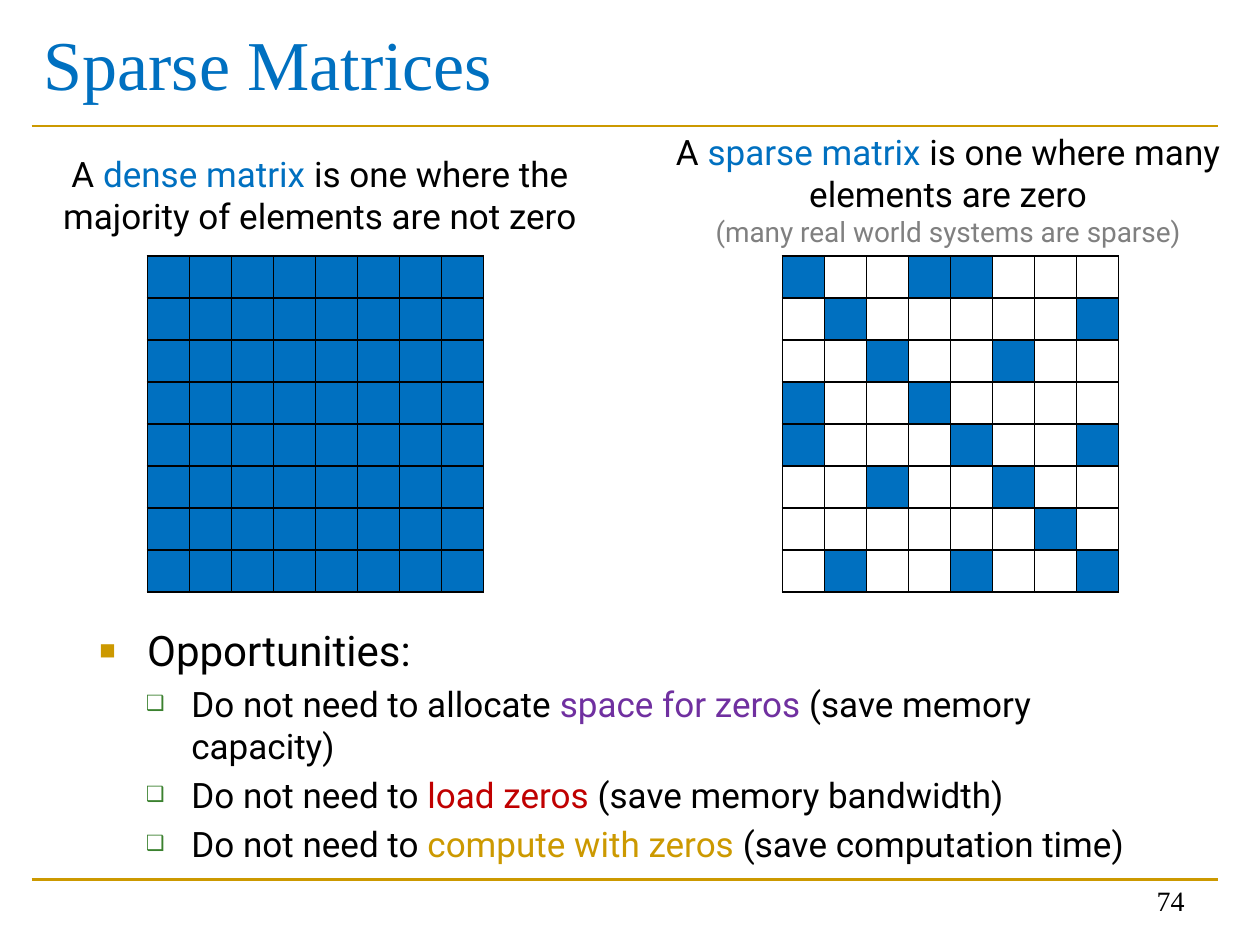
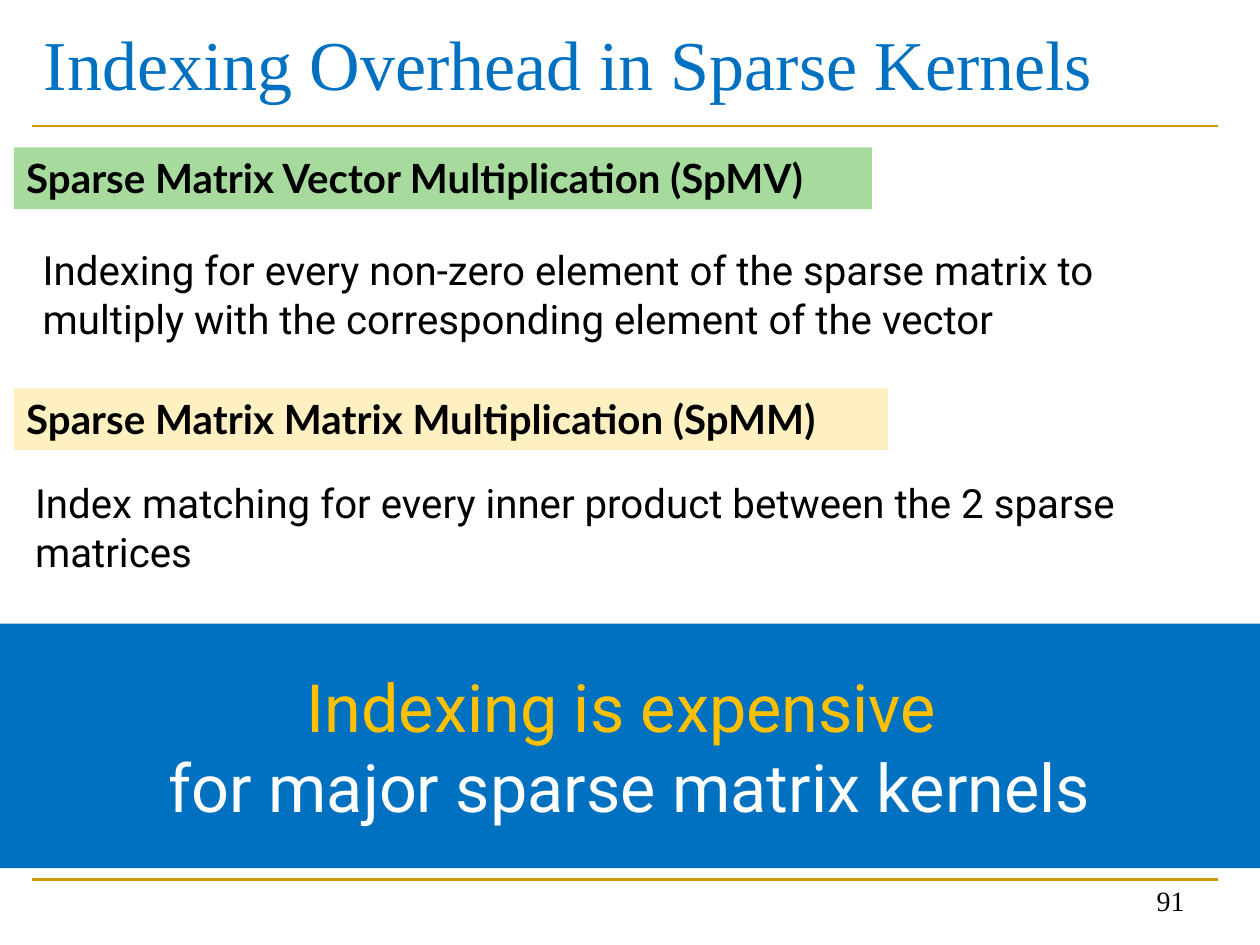
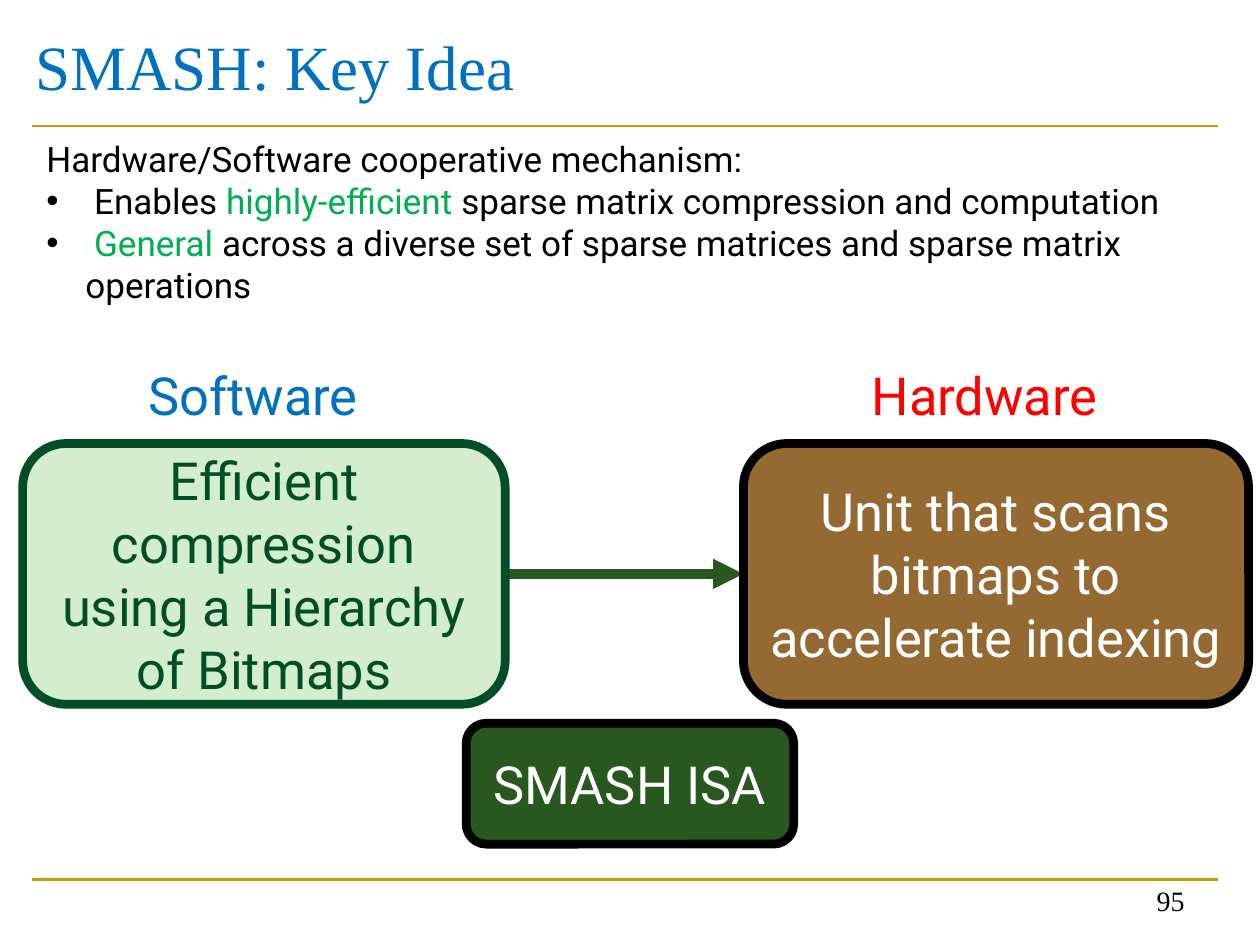
"""Build three slides on sparse matrices and the SMASH idea."""
from pptx import Presentation
from pptx import util as u
from pptx.dml.color import RGBColor
from pptx.enum import shapes, text
from pptx.oxml.ns import qn
from lxml import etree

WIDE, HIGH = u.Inches(10), u.Inches(7.5)
COLS = 100
UNIT = WIDE / COLS

BLACK = RGBColor(0x00, 0x00, 0x00)
WHITE = RGBColor(0xFF, 0xFF, 0xFF)
BLUE = RGBColor(0x00, 0x70, 0xC0)
GOLD = RGBColor(0xCC, 0x99, 0x00)
AMBER = RGBColor(0xFF, 0xC0, 0x00)
GRAY = RGBColor(0x80, 0x80, 0x80)
PURPLE = RGBColor(0x70, 0x30, 0xA0)
CRIMSON = RGBColor(0xC0, 0x00, 0x00)
RED = RGBColor(0xFF, 0x00, 0x00)
GREEN = RGBColor(0x00, 0xB0, 0x50)
LEAF = RGBColor(0x3B, 0x81, 0x2F)
FOREST = RGBColor(0x28, 0x57, 0x20)
PINE = RGBColor(0x00, 0x4D, 0x26)
MINT = RGBColor(0xD3, 0xED, 0xCE)
SAGE = RGBColor(0xA6, 0xDB, 0x9D)
CREAM = RGBColor(0xFF, 0xF0, 0xC2)
BROWN = RGBColor(0x94, 0x6A, 0x32)

SERIF, SANS, HEAVY = "Times New Roman", "Roboto", "Lato"
LEFT, MID, RIGHT = text.PP_ALIGN.LEFT, text.PP_ALIGN.CENTER, text.PP_ALIGN.RIGHT
TOP, CENTER, BASE = (text.MSO_ANCHOR.TOP, text.MSO_ANCHOR.MIDDLE,
                     text.MSO_ANCHOR.BOTTOM)
RECT, ROUND = (shapes.MSO_SHAPE.RECTANGLE, shapes.MSO_SHAPE.ROUNDED_RECTANGLE)

DENSE = ["########"] * 8
SPARSE = ["#..##...", ".#.....#", "..#..#..", "#..#....",
          "#...#..#", "..#..#..", "......#.", ".#..#..#"]


def grid(*spots):
    """Turn grid columns and rows into slide lengths."""
    return [round(spot * UNIT) for spot in spots]


def node(home, tag, **attrs):
    """Add a drawing element with attributes."""
    return etree.SubElement(home, qn(tag), attrs)


def bullet(para, mark, indent, color=None, share=100):
    """Give a paragraph a hanging bullet."""
    props = para._p.get_or_add_pPr()
    gap = grid(indent[1])[0]
    props.set("marL", str(grid(indent[0])[0]))
    props.set("indent", str(-gap))
    if color is not None:
        node(node(props, "a:buClr"), "a:srgbClr", val=str(color))
    node(props, "a:buSzPct", val=str(share * 1000))
    node(props, "a:buFont", typeface="Arial")
    node(props, "a:buChar", char=mark)


def style(para, size, color=BLACK, face=SANS, bold=False):
    """Set the font of a whole paragraph."""
    font = para.font
    font.size, font.name, font.bold = u.Pt(size), face, bold
    font.color.rgb = color


def write(frame, lines, size, color=BLACK, face=SANS, align=LEFT,
          anchor=TOP, bold=False):
    """Fill a frame with lines, each a list of texts or (text, color) pairs."""
    frame.word_wrap = True
    frame.vertical_anchor = anchor
    for i, line in enumerate(lines):
        para = frame.add_paragraph() if i else frame.paragraphs[0]
        para.alignment = align
        style(para, size, color, face, bold)
        for part in line:
            words, tint = (part, None) if isinstance(part, str) else part
            run = para.add_run()
            run.text = words
            if tint is not None:
                run.font.color.rgb = tint
    return frame.paragraphs


def label(slide, spot, lines, size, **look):
    """Add a text box."""
    box = slide.shapes.add_textbox(*grid(*spot))
    return write(box.text_frame, lines, size, **look)


def block(slide, kind, spot, fill, lines, size, edge=None, **look):
    """Add a filled shape with text."""
    shape = slide.shapes.add_shape(kind, *grid(*spot))
    shape.shadow.inherit = False
    shape.fill.solid()
    shape.fill.fore_color.rgb = fill
    if edge is None:
        shape.line.fill.background()
    else:
        shape.line.color.rgb, shape.line.width = edge, u.Pt(5)
    write(shape.text_frame, lines, size, **look)
    return shape


def rule(slide, ends, color, width):
    """Add a straight line."""
    line = slide.shapes.add_connector(shapes.MSO_CONNECTOR.STRAIGHT,
                                      *grid(*ends))
    line.line.color.rgb, line.line.width = color, u.Pt(width)
    node(line._element.spPr, "a:effectLst")
    return line


def arrow(slide, start, end):
    """Join two boxes with an arrow placed behind them."""
    line = rule(slide, (0, 0, 1, 1), FOREST, 5.75)
    line.begin_connect(start, 3)
    line.end_connect(end, 1)
    node(line.line._get_or_add_ln(), "a:tailEnd", type="triangle")
    slide.shapes._spTree.insert(2, line._element)


def matrix(slide, left, top, side, rows):
    """Add a square table whose marked cells are blue."""
    count = len(rows)
    table = slide.shapes.add_table(count, count,
                                   *grid(left, top, side, side)).table
    table.first_row = table.horz_banding = False
    for i, row in enumerate(rows):
        table.rows[i].height = table.columns[i].width = grid(side / count)[0]
        for j, mark in enumerate(row):
            paint(table.cell(i, j), mark == "#")


def paint(cell, full):
    """Border a cell and fill it when it holds a value."""
    cell.margin_top = cell.margin_bottom = 0
    style(cell.text_frame.paragraphs[0], 10)
    props = cell._tc.get_or_add_tcPr()
    for edge in ("a:lnL", "a:lnR", "a:lnT", "a:lnB"):
        line = node(props, edge, w=str(u.Pt(1)))
        node(node(line, "a:solidFill"), "a:srgbClr", val=str(BLACK))
    if full:
        cell.fill.solid()
        cell.fill.fore_color.rgb = BLUE
    else:
        cell.fill.background()


def page(deck, title, number, size=40, spot=(2.5, 0, 94.2, 9.9)):
    """Start a slide with its title, rules and number."""
    slide = deck.slides.add_slide(deck.slide_layouts[6])
    for row in (69.8, 10):
        rule(slide, (2.5, row, 96.7, row), GOLD, 1.5)
    label(slide, spot, [[title]], size, color=BLUE, face=SERIF, anchor=CENTER)
    label(slide, (71.7, 68.3, 23.3, 5), [[number]], 16, face=SERIF,
          align=RIGHT, anchor=BASE)
    return slide


def matrices(deck):
    """Compare dense and sparse matrices."""
    slide = page(deck, "Sparse Matrices", "74")
    paras = label(slide, (6.9, 49.1, 86.2, 20.7), [
        ["Opportunities:"],
        ["Do not need to allocate ", ("space for zeros ", PURPLE),
         "(save memory capacity)"],
        ["Do not need to ", ("load zeros ", CRIMSON),
         "(save memory bandwidth)"],
        ["Do not need to ", ("compute with zeros ", GOLD),
         "(save computation time)"]], 20)
    head, *items = paras
    head._p.remove(head._p.pPr)
    bullet(head, "■", (3.8, 3.8), GOLD, 65)
    style(head, 24)
    for item in items:
        item._p.remove(item._p.pPr)
        bullet(item, "❑", (7.3, 3.6), LEAF, 60)
        style(item, 20)
        item.space_before = u.Pt(4)
    for left, rows in ((11.7, DENSE), (62.1, SPARSE)):
        matrix(slide, left, 20.3, 26.7, rows)
    label(slide, (1.2, 11.6, 48.4, 7.7), [
        ["A ", ("dense matrix ", BLUE),
         "is one where the majority of elements are not zero"]],
        20, align=MID)
    note = label(slide, (51.7, 9.9, 47.1, 10.4), [
        ["A ", ("sparse matrix ", BLUE),
         "is one where many elements are zero"],
        ["(many real world systems are sparse)"]], 20, align=MID)[1]
    style(note, 16, GRAY)


def indexing(deck):
    """Show the cost of indexing in two kernels."""
    slide = page(deck, "Indexing Overhead in Sparse Kernels", "91")
    for top, wide, fill, name in (
            (11.7, 68.1, SAGE, "Sparse Matrix Vector Multiplication (SpMV)"),
            (30.8, 69.4, CREAM, "Sparse Matrix Matrix Multiplication (SpMM)")):
        block(slide, RECT, (1.1, top, wide, 4.9), fill, [[name]], 23,
              face=HEAVY, bold=True)
    block(slide, RECT, (0, 49.5, COLS, 19.4), BLUE,
          [[("Indexing is expensive ", AMBER)],
           ["for major sparse matrix kernels"]], 38, color=WHITE,
          align=MID, anchor=CENTER)
    label(slide, (2.4, 19, 94.2, 8.8), [
        ["Indexing for every non-zero element of the sparse matrix to "
         "multiply with the corresponding element of the vector"]], 23)
    label(slide, (1.8, 37.5, 90.7, 8.8), [
        ["Index matching for every inner product between the 2 sparse "
         "matrices"]], 23)


def idea(deck):
    """Show how software and hardware work together."""
    slide = page(deck, "SMASH: Key Idea", "95", 36, (1.8, 1.9, 98.2, 6.6))
    soft, hard, _ = [
        block(slide, ROUND, spot, fill, [[words]], 30, edge=edge, color=ink,
              align=MID, anchor=CENTER)
        for spot, fill, edge, ink, words in (
            ((1.8, 35.2, 38.3, 20.7), MINT, PINE, PINE,
             "Efficient compression using a Hierarchy of Bitmaps"),
            ((59, 35.2, 40.1, 20.7), BROWN, BLACK, WHITE,
             "Unit that scans bitmaps to accelerate indexing"),
            ((37, 57.4, 26, 9.6), FOREST, BLACK, WHITE, "SMASH ISA"))]
    arrow(slide, soft, hard)
    for left, wide, color, name in ((10.3, 19.6, BLUE, "Software"),
                                    (67.4, 21.5, RED, "Hardware")):
        label(slide, (left, 28.3, wide, 6.1), [[name]], 30, color=color,
              align=MID)
    points = label(slide, (2.7, 10.4, 91.4, 14.5), [
        ["Hardware/Software cooperative mechanism:"],
        [" Enables ", ("highly-efficient", GREEN),
         " sparse matrix compression and computation"],
        [" ", ("General", GREEN), " across a diverse set of sparse matrices "
         "and sparse matrix operations"]], 20)[1:]
    for point in points:
        point._p.remove(point._p.pPr)
        bullet(point, "•", (3.1, 3.1))
        style(point, 20)


def main():
    """Build and save the deck."""
    deck = Presentation()
    deck.slide_width, deck.slide_height = WIDE, HIGH
    for build in (matrices, indexing, idea):
        build(deck)
    deck.save("out.pptx")


if __name__ == "__main__":
    main()
